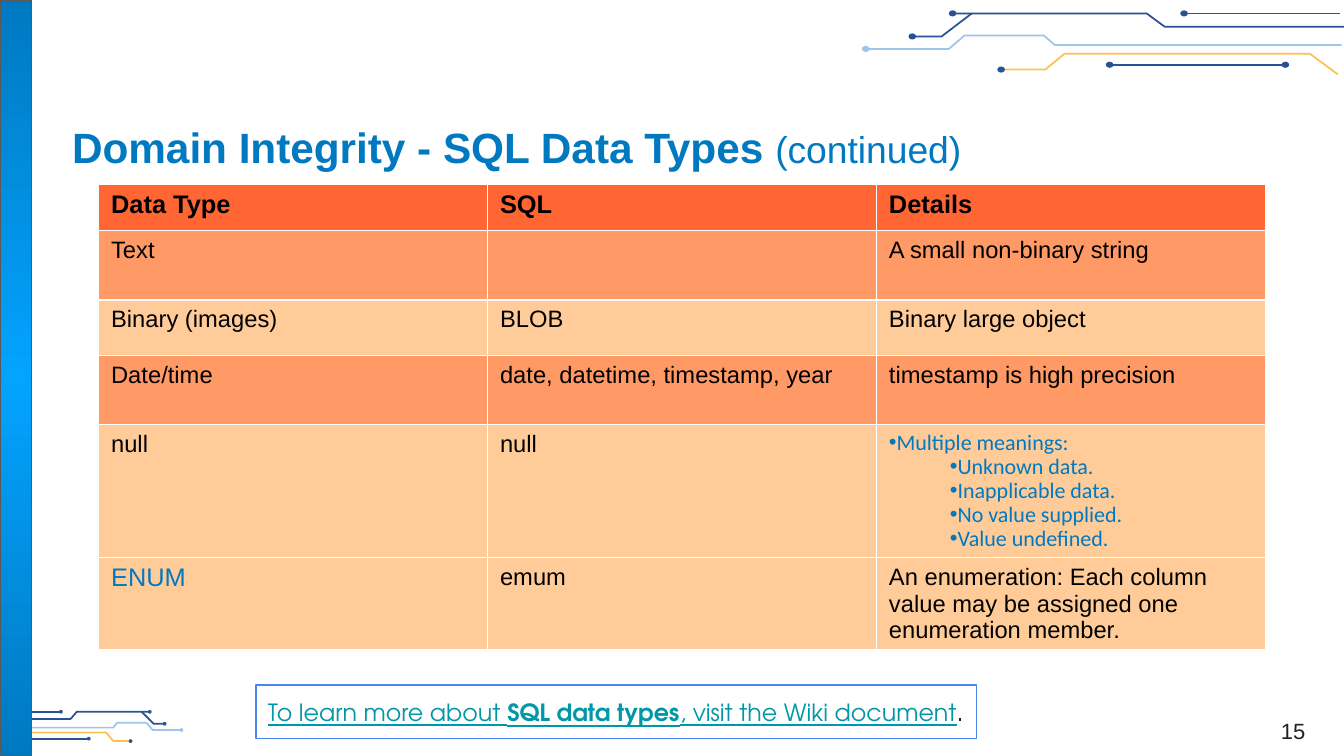
import pptx
import pptx.util
import pptx.dml.color
import pptx.enum.shapes
import pptx.enum.text
import pptx.oxml.ns
from dataclasses import dataclass
from lxml import etree

Cm, Pt = pptx.util.Cm, pptx.util.Pt
qn = pptx.oxml.ns.qn
SHAPE = pptx.enum.shapes.MSO_SHAPE
ANCHOR = pptx.enum.text.MSO_ANCHOR
ALIGN = pptx.enum.text.PP_ALIGN
AUTOSIZE = pptx.enum.text.MSO_AUTO_SIZE


@dataclass(frozen=True)
class Theme:
    blue: str = "0079C0"
    bright: str = "03A3FF"
    navy: str = "285293"
    sky: str = "9FC5E8"
    gold: str = "FEC14F"
    grey: str = "595959"
    ink: str = "222222"
    black: str = "000000"
    white: str = "FFFFFF"
    teal: str = "0097A7"
    frame: str = "4A86E8"
    header: str = "FF6633"
    dark_row: str = "FF9966"
    light_row: str = "FFCC99"
    font: str = "Arial"
    list_font: str = "Calibri"
    link_font: str = "TeX Gyre Adventor"
    title: float = 25
    subtitle: float = 22
    heading: float = 15
    body: float = 14
    small: float = 13
    trace: float = 1.03
    hairline: float = 0.75


T = Theme()

TOP_TRACES = [
    (T.navy, 1, [(10, 0.28), (6.26, 0.28), (5.88, 0), (1.84, 0)]),
    (T.navy, 1, [(2.24, 0), (1.61, 0.48), (1, 0.48)]),
    (T.navy, 1, [(9.91, 0), (6.66, 0)]),
    (T.gold, 1, [(9.86, 1.27), (9.28, 0.84), (4.17, 0.84), (3.77, 1.17), (2.85, 1.17)]),
    (T.navy, 2, [(8.77, 1.07), (5.11, 1.07)]),
    (T.sky, 1, [(9.94, 0.66), (3.97, 0.66), (3.74, 0.46), (2.09, 0.46),
                (1.76, 0.74), (0.03, 0.74)]),
]
BOTTOM_TRACES = [
    (T.navy, 1, [(0.08, 0.15), (1.47, 0.15), (1.6, 0), (3.12, 0)]),
    (T.navy, 1, [(2.95, 0), (3.2, 0.25), (3.43, 0.25)]),
    (T.navy, 1, [(0, 0), (1.27, 0)]),
    (T.gold, 1, [(0.03, 0.66), (0.25, 0.43), (2.21, 0.43), (2.36, 0.61), (2.72, 0.61)]),
    (T.navy, 2, [(0.46, 0.56), (1.85, 0.56)]),
    (T.sky, 1, [(0.18, 0.33), (2.36, 0.33), (2.44, 0.23), (3.05, 0.23),
                (3.18, 0.38), (3.78, 0.38)]),
]
ROWS = [
    (0.97, T.header, ["Data Type", "SQL", "Details"]),
    (1.44, T.dark_row, ["Text", "", "A small non-binary string"]),
    (1.16, T.light_row, ["Binary (images)", "BLOB", "Binary large object"]),
    (1.44, T.dark_row, ["Date/time", "date, datetime, timestamp, year",
                        "timestamp is high precision"]),
    (2.77, T.light_row, ["null", "null", [
        "Multiple meanings:", "Unknown data.", "Inapplicable data.",
        "No value supplied.", "Value undefined."]]),
    (1.9, T.light_row, ["ENUM", "emum", "An enumeration: Each column value may be "
                        "assigned one enumeration member."]),
]


def rgb(color):
    return pptx.dml.color.RGBColor.from_string(color)


def set_font(font, size, color, name=T.font, bold=False):
    font.size, font.name, font.bold = Pt(size), name, bold
    font.color.rgb = rgb(color)


def set_margins(tf, side, end):
    tf.margin_left = tf.margin_right = Cm(side)
    tf.margin_top = tf.margin_bottom = Cm(end)


def style_shape(sp, line, width=T.hairline, fill=None):
    sp.shadow.inherit = False
    sp.line.color.rgb = rgb(line)
    sp.line.width = Pt(width)
    if fill:
        sp.fill.solid()
        sp.fill.fore_color.rgb = rgb(fill)
    else:
        sp.fill.background()


def add_circuit(s, box, traces, node_w, node_h):
    left, top = box
    for color, node_count, points in traces:
        spots = [(Cm(left + x), Cm(top + y)) for x, y in points]
        builder = s.shapes.build_freeform(*spots[0])
        builder.add_line_segments(spots[1:], close=False)
        style_shape(builder.convert_to_shape(), color, T.trace)
        node_color = T.sky if color == T.sky else T.navy
        for x, y in [points[-1], points[0]][:node_count]:
            node = s.shapes.add_shape(
                SHAPE.OVAL, Cm(left + x - node_w / 2), Cm(top + y - node_h / 2),
                Cm(node_w), Cm(node_h))
            style_shape(node, node_color, fill=node_color)


def add_side_bar(s, box):
    sp = s.shapes.add_shape(SHAPE.RECTANGLE, *map(Cm, box))
    style_shape(sp, T.grey)
    sp.fill.gradient()
    for stop, color in zip(sp.fill.gradient_stops, (T.bright, T.blue)):
        stop.color.rgb = rgb(color)
    grad = sp.element.spPr.find(qn("a:gradFill"))
    grad.remove(grad.find(qn("a:lin")))
    path = etree.SubElement(grad, qn("a:path"), path="circle")
    etree.SubElement(path, qn("a:fillToRect"), l="50000", t="50000", r="50000", b="50000")


def add_title(s, box):
    sp = s.shapes.title
    sp.left, sp.top, sp.width, sp.height = map(Cm, box)
    tf = sp.text_frame
    tf.auto_size, tf.vertical_anchor = AUTOSIZE.NONE, ANCHOR.MIDDLE
    set_margins(tf, 0.2, 0.2)
    p = tf.paragraphs[0]
    p.alignment = ALIGN.LEFT
    set_font(p.font, T.title, T.blue)
    for text, size, bold in [("Domain Integrity - SQL Data Types ", T.title, True),
                             ("(continued)", T.subtitle, False)]:
        r = p.add_run()
        r.text, r.font.size, r.font.bold = text, Pt(size), bold


def set_borders(cell):
    tc_pr = cell._tc.get_or_add_tcPr()
    for side in ("lnL", "lnR", "lnT", "lnB"):
        ln = etree.SubElement(tc_pr, qn("a:" + side), w=str(Pt(T.hairline)))
        fill = etree.SubElement(ln, qn("a:solidFill"))
        etree.SubElement(fill, qn("a:srgbClr"), val=T.white)


def fill_bullets(tf, items):
    for i, text in enumerate(items):
        p = tf.add_paragraph() if i else tf.paragraphs[0]
        p.text, p.line_spacing = text, 0.9
        p.space_before = Pt(0 if i else 8)
        p_pr = p._p.get_or_add_pPr()
        p_pr.set("marL", str(Cm(1.27 if i else 0)))
        p_pr.set("indent", "0")
        etree.SubElement(p_pr, qn("a:buFont"), typeface=T.font)
        etree.SubElement(p_pr, qn("a:buChar"), char="•")
        set_font(p.font, T.small, T.blue, T.list_font)


def add_types_table(s, box):
    left, top, width = box
    height = sum(row[0] for row in ROWS)
    table = s.shapes.add_table(len(ROWS), 3, *map(Cm, (left, top, width, height))).table
    table.first_row = table.horz_banding = False
    for column in table.columns:
        column.width = Cm(width / 3)
    for i, (row_height, color, texts) in enumerate(ROWS):
        table.rows[i].height = Cm(row_height)
        for cell, text in zip(table.rows[i].cells, texts):
            set_borders(cell)
            cell.fill.solid()
            cell.fill.fore_color.rgb = rgb(color)
            if isinstance(text, list):
                fill_bullets(cell.text_frame, text)
            elif text:
                p = cell.text_frame.paragraphs[0]
                p.text = text
                size = T.heading if i == 0 or text == "ENUM" else T.body
                set_font(p.font, size, T.blue if text == "ENUM" else T.black, bold=i == 0)


def add_link_box(s, box):
    sp = s.shapes.add_shape(SHAPE.RECTANGLE, *map(Cm, box))
    style_shape(sp, T.frame)
    tf = sp.text_frame
    tf.word_wrap = True
    set_margins(tf, 0.25, 0.25)
    p = tf.paragraphs[0]
    p.alignment = ALIGN.LEFT
    for text, color, bold in [("To learn more about ", T.teal, False),
                              ("SQL data types", T.teal, True),
                              (", visit the Wiki document", T.teal, False),
                              (".", T.black, False)]:
        r = p.add_run()
        r.text, r.font.underline = text, color == T.teal
        set_font(r.font, T.body, color, T.link_font, bold)


def add_page_number(s, box):
    tf = s.shapes.add_textbox(*map(Cm, box)).text_frame
    tf.word_wrap, tf.vertical_anchor = True, ANCHOR.BOTTOM
    set_margins(tf, 0.2, 0.1)
    p = tf.paragraphs[0]
    p.text, p.alignment = "15", ALIGN.CENTER
    set_font(p.font, T.small, T.ink)


def main():
    prs = pptx.Presentation()
    prs.slide_width, prs.slide_height = Cm(27.99), Cm(15.75)
    s = prs.slides.add_slide(prs.slide_layouts[5])
    add_circuit(s, (0, 14.83), BOTTOM_TRACES, 0.05, 0.05)
    add_circuit(s, (18, 0.28), TOP_TRACES, 0.13, 0.1)
    add_side_bar(s, (0, 0, 0.66, 15.75))
    add_types_table(s, (2.06, 3.84, 24.3))
    add_title(s, (1.3, 2.24, 24.87, 1.63))
    add_page_number(s, (26.04, 14.35, 1.78, 1.24))
    add_link_box(s, (5.33, 14.27, 15.01, 1.12))
    prs.save("out.pptx")


if __name__ == "__main__":
    main()
